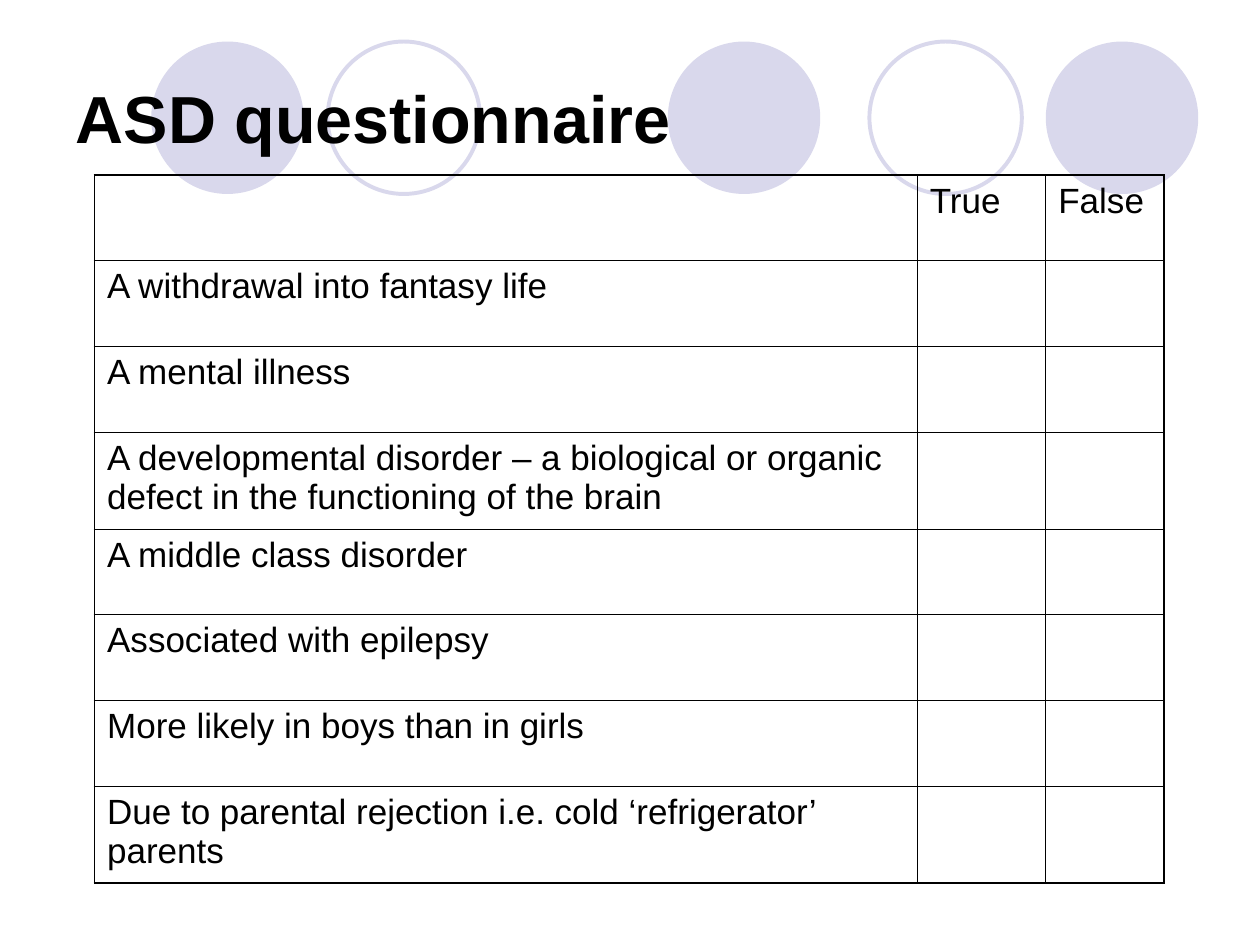
from typing import NamedTuple

from lxml.etree import SubElement
from pptx import Presentation
from pptx.dml.color import RGBColor
from pptx.enum.shapes import MSO_SHAPE
from pptx.enum.text import MSO_ANCHOR, PP_ALIGN
from pptx.oxml.ns import qn
from pptx.util import Inches, Pt

WIDE, HIGH = 10, 7.5
INK, LILAC = "000000", "D9D8EC"
THIN, THICK = 0.45, 1.08
COLS = (6.53, 1.02, 0.94)
SHORT, TALL = 0.68, 0.77


class Disc(NamedTuple):
    left: float  # share of the slide's width
    solid: bool


class Row(NamedTuple):
    cells: tuple[str, str, str]
    high: float = SHORT


DISCS = [Disc(0.12, True), Disc(0.26, False), Disc(0.53, True),
         Disc(0.69, False), Disc(0.83, True)]

ROWS = [
    Row(("", "True", "False")),
    Row(("A withdrawal into fantasy life", "", "")),
    Row(("A mental illness", "", "")),
    Row(("A developmental disorder – a biological or organic defect "
         "in the functioning of the brain", "", ""), TALL),
    Row(("A middle class disorder", "", "")),
    Row(("Associated with epilepsy", "", "")),
    Row(("More likely in boys than in girls", "", "")),
    Row(("Due to parental rejection i.e. cold ‘refrigerator’ parents",
         "", ""), TALL),
]


def paint(text: str) -> RGBColor:
    return RGBColor.from_string(text)


def style(par, size: float, bold: bool = False) -> None:
    par.font.name = "Arial"
    par.font.size = Pt(size)
    par.font.bold = bold
    par.font.color.rgb = paint(INK)


def draw_disc(slide, disc: Disc) -> None:
    size = Inches(1.21)
    shape = slide.shapes.add_shape(
        MSO_SHAPE.OVAL, Inches(disc.left * WIDE), Inches(0.044 * HIGH), size, size)
    shape.shadow.inherit = False
    if disc.solid:
        shape.fill.solid()
        shape.fill.fore_color.rgb = paint(LILAC)
        shape.line.fill.background()
    else:
        shape.fill.background()
        shape.line.color.rgb = paint(LILAC)
        shape.line.width = Pt(2.25)


def set_title(slide, text: str) -> None:
    title = slide.shapes.title
    title.left, title.top = Inches(0.05 * WIDE), Inches(0.04 * HIGH)
    title.width, title.height = Inches(0.9 * WIDE), Inches(1.25)
    frame = title.text_frame
    frame.text = text
    frame.word_wrap = True
    frame.vertical_anchor = MSO_ANCHOR.MIDDLE
    par = frame.paragraphs[0]
    par.alignment = PP_ALIGN.LEFT
    style(par, 38, bold=True)
    # Bring the title in front of the discs
    title.element.getparent().append(title.element)


def set_edges(cell, outer: dict[str, bool]) -> None:
    props = cell._tc.get_or_add_tcPr()
    for side, thick in outer.items():
        width = Pt(THICK if thick else THIN)
        edge = SubElement(props, qn(f"a:{side}"), w=str(int(width)))
        fill = SubElement(edge, qn("a:solidFill"))
        SubElement(fill, qn("a:srgbClr"), val=INK)


def draw_table(slide, rows: list[Row]) -> None:
    frame = slide.shapes.add_table(
        len(rows), len(COLS), Inches(0.075 * WIDE), Inches(1.39),
        Inches(sum(COLS)), Inches(sum(row.high for row in rows)))
    table = frame.table
    table.first_row = table.horz_banding = False
    for col, wide in zip(table.columns, COLS):
        col.width = Inches(wide)
    for r, row in enumerate(rows):
        table.rows[r].height = Inches(row.high)
        for c, text in enumerate(row.cells):
            cell = table.cell(r, c)
            cell.text = text
            style(cell.text_frame.paragraphs[0], 20)
            # Edges must come before the fill in the cell's properties
            set_edges(cell, {"lnL": c == 0, "lnR": c == len(COLS) - 1,
                             "lnT": r == 0, "lnB": r == len(rows) - 1})
            cell.fill.background()


def main() -> None:
    deck = Presentation()
    deck.slide_width, deck.slide_height = Inches(WIDE), Inches(HIGH)
    slide = deck.slides.add_slide(deck.slide_layouts[5])

    # Row of discs behind the title
    for disc in DISCS:
        draw_disc(slide, disc)

    # Title and questionnaire
    set_title(slide, "ASD questionnaire")
    draw_table(slide, ROWS)
    deck.save("out.pptx")


if __name__ == "__main__":
    main()
